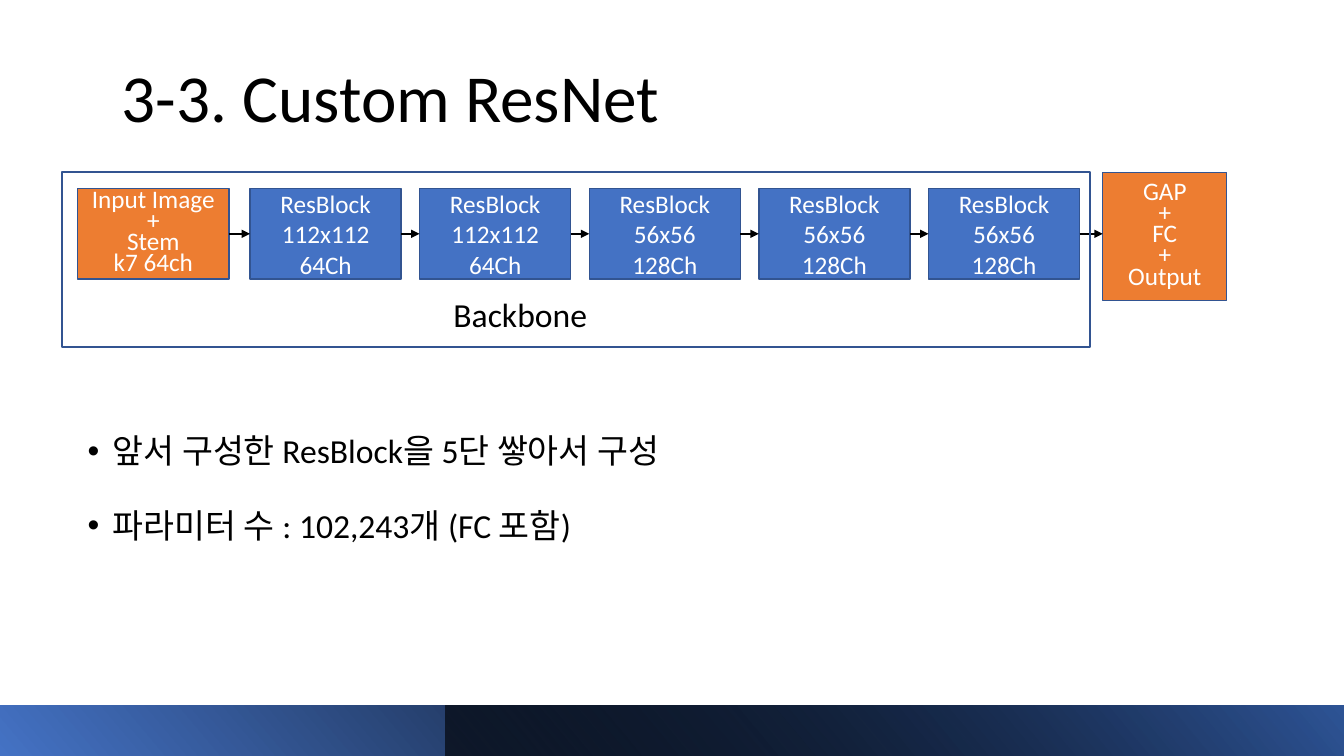
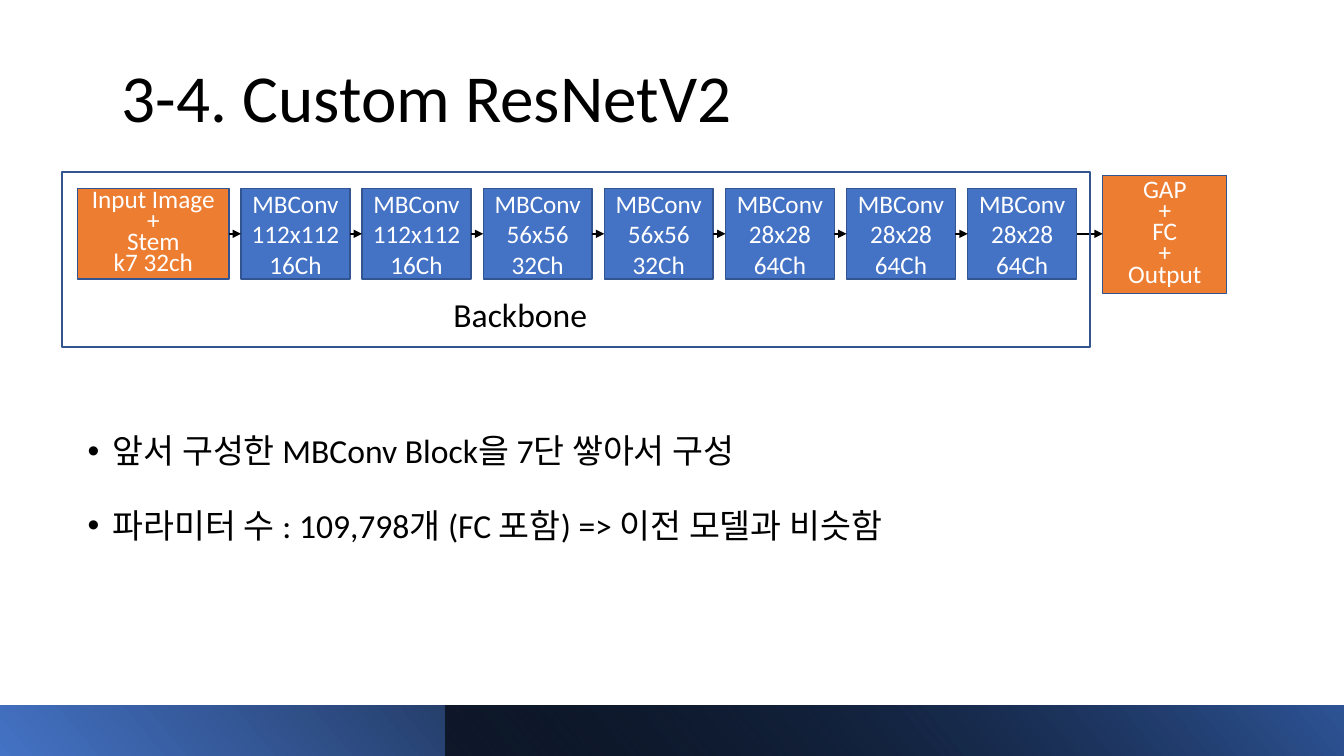
"""Build two slides that show custom network backbones as block diagrams."""
from lxml.etree import SubElement
from pptx import Presentation
from pptx.dml.color import RGBColor
from pptx.enum.shapes import MSO_CONNECTOR, MSO_SHAPE
from pptx.enum.text import MSO_ANCHOR as ANCHOR, PP_ALIGN as ALIGN
from pptx.oxml.ns import qn
from pptx.util import Inches, Pt

BLACK = RGBColor(0x00, 0x00, 0x00)
WHITE = RGBColor(0xFF, 0xFF, 0xFF)
BLUE = RGBColor(0x44, 0x72, 0xC4)
DEEP_BLUE = RGBColor(0x2F, 0x55, 0x97)
EDGE_BLUE = RGBColor(0x32, 0x54, 0x91)
ORANGE = RGBColor(0xED, 0x7D, 0x31)

TITLE = {"size": Pt(48), "name": "Calibri"}
BODY = {"size": Pt(24), "name": "Calibri"}
LABEL = {"size": Pt(18), "name": "Calibri"}
CENTERED = {"alignment": ALIGN.CENTER}
TIGHT = {"alignment": ALIGN.CENTER, "line_spacing": 0.7}
BULLETED = {"line_spacing": 1.5, "space_before": Pt(10)}

STEM_LEFT, STEM_WIDTH = 5.78, 11.25
BLOCK_TOP, BLOCK_HEIGHT = 24.93, 12
HEAD_LEFT, HEAD_WIDTH = 82.05, 9.23
ARROW_ROW = BLOCK_TOP + BLOCK_HEIGHT / 2
BANDS = [
    ((0, 93.33, 100, 6.67), (0, BLUE), (0.78, BLACK), None),
    ((33.15, 93.33, 66.85, 6.67), (0, BLACK), (1, DEEP_BLUE), "63000"),
]
NETWORKS = [
    {
        "title": "3-3. Custom ResNet",
        "stem": "Input Image\v+\vStem\vk7 64ch",
        "block": "ResBlock",
        "sizes": ["112x112 64Ch"] * 2 + ["56x56\v128Ch"] * 3,
        "first": 18.6, "last": 69.08, "width": 11.25,
        "head": (22.8, 16.93),
        "points": ["앞서 구성한 ResBlock을 5단 쌓아서 구성",
                   "파라미터 수 : 102,243개 (FC 포함)"],
    },
    {
        "title": "3-4. Custom ResNetV2",
        "stem": "Input Image\v+\vStem\vk7 32ch",
        "block": "MBConv",
        "sizes": ["112x112 16Ch"] * 2 + ["56x56 32Ch"] * 2 + ["28x28 64Ch"] * 3,
        "first": 17.93, "last": 72, "width": 8.1,
        "head": (23.2, 15.6),
        "points": ["앞서 구성한 MBConv Block을 7단 쌓아서 구성",
                   "파라미터 수 : 109,798개 (FC 포함) => 이전 모델과 비슷함"],
    },
]

deck = Presentation()
deck.slide_width, deck.slide_height = Inches(13.33), Inches(7.5)


def area(*shares):
    """Turn percentages of the slide, across and down in turn, into lengths."""
    sides = (deck.slide_width, deck.slide_height) * 2
    return [round(side * share / 100) for side, share in zip(sides, shares)]


def write(holder, lines, font, color, layout, anchor=ANCHOR.MIDDLE):
    """Put formatted paragraphs into a shape and return them."""
    frame = holder.text_frame
    frame.word_wrap = True
    frame.vertical_anchor = anchor
    frame.text = "\n".join(lines)
    for paragraph in frame.paragraphs:
        for key, value in layout.items():
            setattr(paragraph, key, value)
        for run in paragraph.runs:
            run.font.color.rgb = color
            for key, value in font.items():
                setattr(run.font, key, value)
    return frame.paragraphs


for network in NETWORKS:
    slide = deck.slides.add_slide(deck.slide_layouts[6])
    shapes = slide.shapes

    title = shapes.add_textbox(*area(8.33, 3.07, 79.5, 15.73))
    write(title, [network["title"]], TITLE, BLACK, {"line_spacing": 0.9}, ANCHOR.BOTTOM)

    for place, *stops, alpha in BANDS:
        band = shapes.add_shape(MSO_SHAPE.RECTANGLE, *area(*place))
        band.shadow.inherit = False
        band.line.fill.background()
        band.fill.gradient()
        band.fill.gradient_angle = 40
        for stop, (position, color) in zip(band.fill.gradient_stops, stops):
            stop.position = position
            stop.color.rgb = color
        if alpha:
            tint = next(band.fill._xPr.iter(qn("a:srgbClr")))
            SubElement(tint, qn("a:alpha"), val=alpha)

    points = shapes.add_textbox(*area(5.78, 53.6, 66, 31))
    for point in write(points, network["points"], BODY, BLACK, BULLETED, ANCHOR.TOP):
        properties = point._p.get_or_add_pPr()
        properties.set("marL", str(Inches(0.25)))
        properties.set("indent", str(-Inches(0.25)))
        SubElement(properties, qn("a:buFont"), typeface="Arial")
        SubElement(properties, qn("a:buChar"), char="•")

    width = network["width"]
    pitch = (network["last"] - network["first"]) / (len(network["sizes"]) - 1)
    lefts = [network["first"] + pitch * step for step in range(len(network["sizes"]))]
    head_top, head_height = network["head"]
    stages = [((STEM_LEFT, BLOCK_TOP, STEM_WIDTH, BLOCK_HEIGHT),
               ORANGE, [network["stem"]], TIGHT)]
    stages += [((left, BLOCK_TOP, width, BLOCK_HEIGHT),
                BLUE, [network["block"], size], CENTERED)
               for left, size in zip(lefts, network["sizes"])]
    stages.append(((HEAD_LEFT, head_top, HEAD_WIDTH, head_height),
                   ORANGE, ["GAP\v+\vFC\v+\vOutput"], TIGHT))
    for place, color, lines, layout in stages:
        stage = shapes.add_shape(MSO_SHAPE.RECTANGLE, *area(*place))
        stage.shadow.inherit = False
        stage.fill.solid()
        stage.fill.fore_color.rgb = color
        stage.line.color.rgb = EDGE_BLUE
        stage.line.width = Pt(1)
        write(stage, lines, LABEL, WHITE, layout)

    starts = [STEM_LEFT + STEM_WIDTH] + [left + width for left in lefts]
    for start, end in zip(starts, lefts + [HEAD_LEFT]):
        arrow = shapes.add_connector(
            MSO_CONNECTOR.STRAIGHT, *area(start, ARROW_ROW, end, ARROW_ROW))
        arrow.line.color.rgb = BLACK
        arrow.line.width = Pt(1.5)
        SubElement(arrow.line._get_or_add_ln(), qn("a:tailEnd"), type="triangle")
        SubElement(arrow._element.spPr, qn("a:effectLst"))

    backbone = shapes.add_shape(MSO_SHAPE.RECTANGLE, *area(4.65, 22.8, 76.43, 23.07))
    backbone.shadow.inherit = False
    backbone.fill.background()
    backbone.line.color.rgb = EDGE_BLUE
    backbone.line.width = Pt(1.5)
    caption = shapes.add_textbox(*area(33, 38.27, 13.5, 6.67))
    write(caption, ["Backbone"], BODY, BLACK, {}, ANCHOR.TOP)

deck.save("out.pptx")
